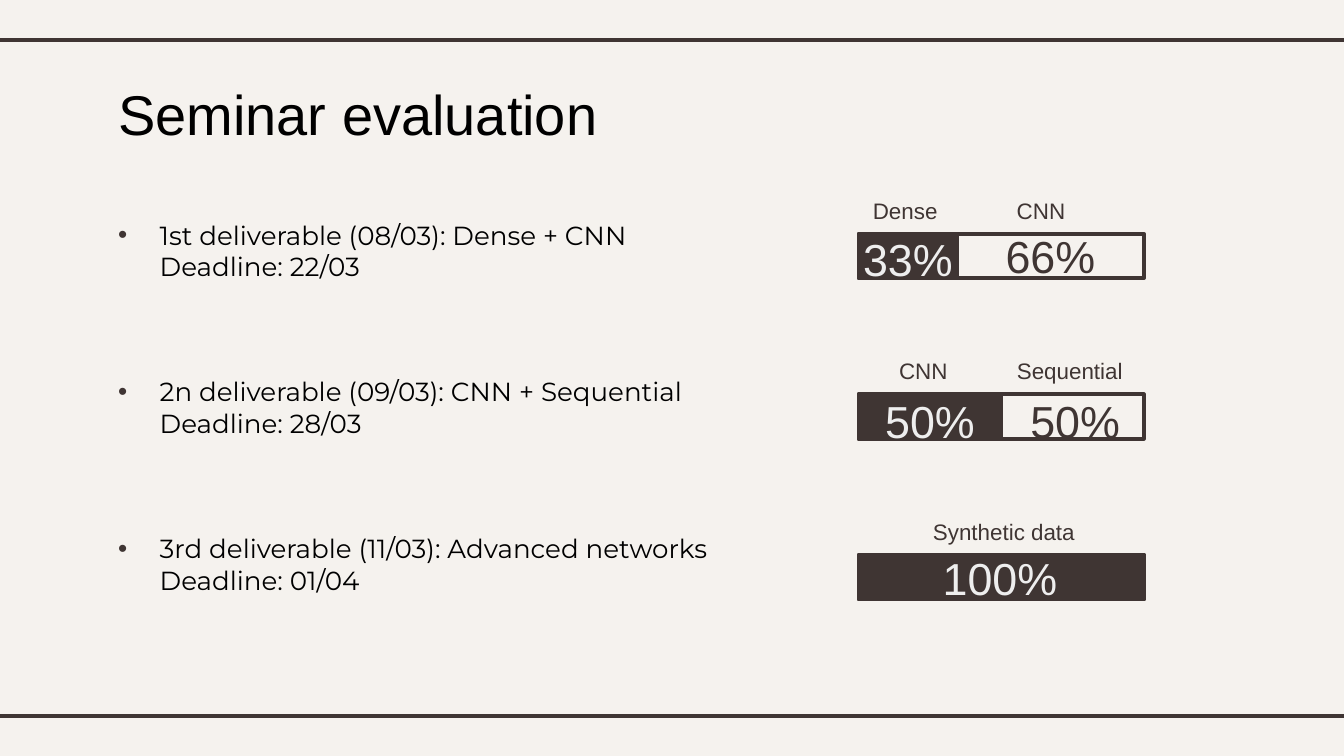
from dataclasses import dataclass

from lxml.etree import SubElement
from pptx import Presentation
from pptx.dml.color import RGBColor
from pptx.enum.shapes import MSO_CONNECTOR, MSO_SHAPE
from pptx.enum.text import MSO_ANCHOR as Anchor, MSO_AUTO_SIZE, PP_ALIGN as Align
from pptx.oxml.ns import qn
from pptx.util import Inches, Pt


@dataclass
class Theme:
    paper: str = "F5F2EE"
    dark: str = "3F3533"
    light: str = "EEEEEE"
    black: str = "000000"
    heading_font: str = "Arial"
    body_font: str = "Montserrat"
    title_size: int = 30
    percent_size: int = 24
    body_size: int = 14
    name_size: int = 12
    line_width: float = 2.25


@dataclass
class Part:
    name: str
    percent: str
    share: float
    name_width: float
    percent_width: float
    name_shift: float = 0  # from the centre of the segment
    percent_shift: float = 0
    percent_drop: float = 0.02  # below the top of the bar


THEME = Theme()

# Content
TITLE = "Seminar evaluation"
DELIVERABLES = [
    ("1st deliverable (08/03): Dense + CNN", "Deadline: 22/03"),
    ("2n deliverable (09/03): CNN + Sequential", "Deadline: 28/03"),
    ("3rd deliverable (11/03): Advanced networks", "Deadline: 01/04"),
]
BARS = [
    [Part("Dense", "33%", 0.345, 0.73, 0.91, name_shift=-0.02, percent_drop=0.04),
     Part("CNN", "66%", 0.655, 0.73, 0.91, name_shift=-0.07)],
    [Part("CNN", "50%", 0.5, 0.73, 0.97, name_shift=-0.05, percent_drop=0.05),
     Part("Sequential", "50%", 0.5, 1.05, 0.91, name_shift=-0.02,
          percent_shift=0.02, percent_drop=0.05)],
    [Part("Synthetic data", "100%", 1, 2.08, 2.02, name_shift=0.02,
          percent_shift=-0.01)],
]

# Grid, in inches
WIDTH = 10
HEIGHT = WIDTH * 9 / 16
RULE_MARGIN, RULE_OVERHANG = 0.3, 0.08
TEXT_LEFT, INDENT, INSET = 0.78, 0.31, 0.1
BAR_LEFT, BAR_WIDTH, BAR_HEIGHT = 6.39, 2.12, 0.33
FIRST_BAR, LAST_BAR = 1.74, 4.13
BAR_PITCH = (LAST_BAR - FIRST_BAR) / (len(BARS) - 1)
LABEL_HEIGHT, NAME_RISE = 0.29, 0.32
ITEM_GAP = 50.4  # points

prs = Presentation()
prs.slide_width, prs.slide_height = Inches(WIDTH), Inches(HEIGHT)
slide = prs.slides.add_slide(prs.slide_layouts[5])
slide.background.fill.solid()
slide.background.fill.fore_color.rgb = RGBColor.from_string(THEME.paper)


def place(*lengths):
    return [Inches(length) for length in lengths]


def set_all(target, values):
    for key, value in values.items():
        setattr(target, key, value)


def set_frame(frame, anchor):
    margins = {f"margin_{side}": Inches(INSET) for side in ("left", "top", "right", "bottom")}
    set_all(frame, {"word_wrap": True, "auto_size": MSO_AUTO_SIZE.NONE,
                    "vertical_anchor": anchor, **margins})


def set_font(text, size, color, face=THEME.heading_font):
    set_all(text.font, {"size": Pt(size), "name": face})
    text.font.color.rgb = RGBColor.from_string(color)


def set_line(shape):
    shape.line.color.rgb = RGBColor.from_string(THEME.dark)
    shape.line.width = Pt(THEME.line_width)


def add_label(text, center, top, width, size, color):
    label = slide.shapes.add_textbox(*place(center - width / 2, top, width, LABEL_HEIGHT))
    set_frame(label.text_frame, Anchor.MIDDLE)
    paragraph = label.text_frame.paragraphs[0]
    set_all(paragraph, {"text": text, "alignment": Align.CENTER})
    set_font(paragraph.runs[0], size, color)


def add_segment(group, top, width, filled):
    segment = group.shapes.add_shape(
        MSO_SHAPE.RECTANGLE, *place(BAR_LEFT, top, width, BAR_HEIGHT))
    segment.shadow.inherit = False
    set_line(segment)
    if filled:
        segment.fill.solid()
        segment.fill.fore_color.rgb = RGBColor.from_string(THEME.dark)
    else:
        segment.fill.background()


# Rules above and below
for y in (RULE_MARGIN, HEIGHT - RULE_MARGIN):
    rule = slide.shapes.add_connector(
        MSO_CONNECTOR.STRAIGHT, *place(-RULE_OVERHANG, y, WIDTH + RULE_OVERHANG, y))
    set_line(rule)
    SubElement(rule._element.spPr, qn("a:effectLst"))

# Title
title = slide.shapes.title
set_all(title, dict(zip(("left", "top", "width", "height"),
                        place(TEXT_LEFT, 0.49, 4.9, 0.63))))
set_frame(title.text_frame, Anchor.TOP)
heading = title.text_frame.paragraphs[0]
set_all(heading, {"text": TITLE, "alignment": Align.LEFT})
set_font(heading.runs[0], THEME.title_size, THEME.black)

# Deliverables
body = slide.shapes.add_textbox(*place(TEXT_LEFT, 1.53, 4.65, 4.03)).text_frame
set_frame(body, Anchor.TOP)
for row, lines in enumerate(DELIVERABLES):
    item = body.add_paragraph() if row else body.paragraphs[0]
    item.text = "\v".join(lines)
    if row:
        item.space_before = Pt(ITEM_GAP)
    props = item._p.get_or_add_pPr()
    props.set("marL", str(Inches(INDENT)))
    props.set("indent", str(-Inches(INDENT)))
    bullet_color = SubElement(props, qn("a:buClr"))
    SubElement(bullet_color, qn("a:srgbClr"), val=THEME.dark)
    SubElement(props, qn("a:buFont"), typeface=THEME.heading_font)
    SubElement(props, qn("a:buChar"), char="•")
    for run in item.runs:
        set_font(run, THEME.body_size, THEME.black, THEME.body_font)

# Weight bars: an outline, its first part filled, and labels
for row, parts in enumerate(BARS):
    top = FIRST_BAR + row * BAR_PITCH
    bar = slide.shapes.add_group_shape()
    add_segment(bar, top, BAR_WIDTH, filled=False)
    add_segment(bar, top, BAR_WIDTH * parts[0].share, filled=True)
    left = BAR_LEFT
    for column, part in enumerate(parts):
        center = left + BAR_WIDTH * part.share / 2
        add_label(part.name, center + part.name_shift, top - NAME_RISE,
                  part.name_width, THEME.name_size, THEME.dark)
        add_label(part.percent, center + part.percent_shift, top + part.percent_drop,
                  part.percent_width, THEME.percent_size,
                  THEME.dark if column else THEME.light)
        left += BAR_WIDTH * part.share

prs.save("out.pptx")
